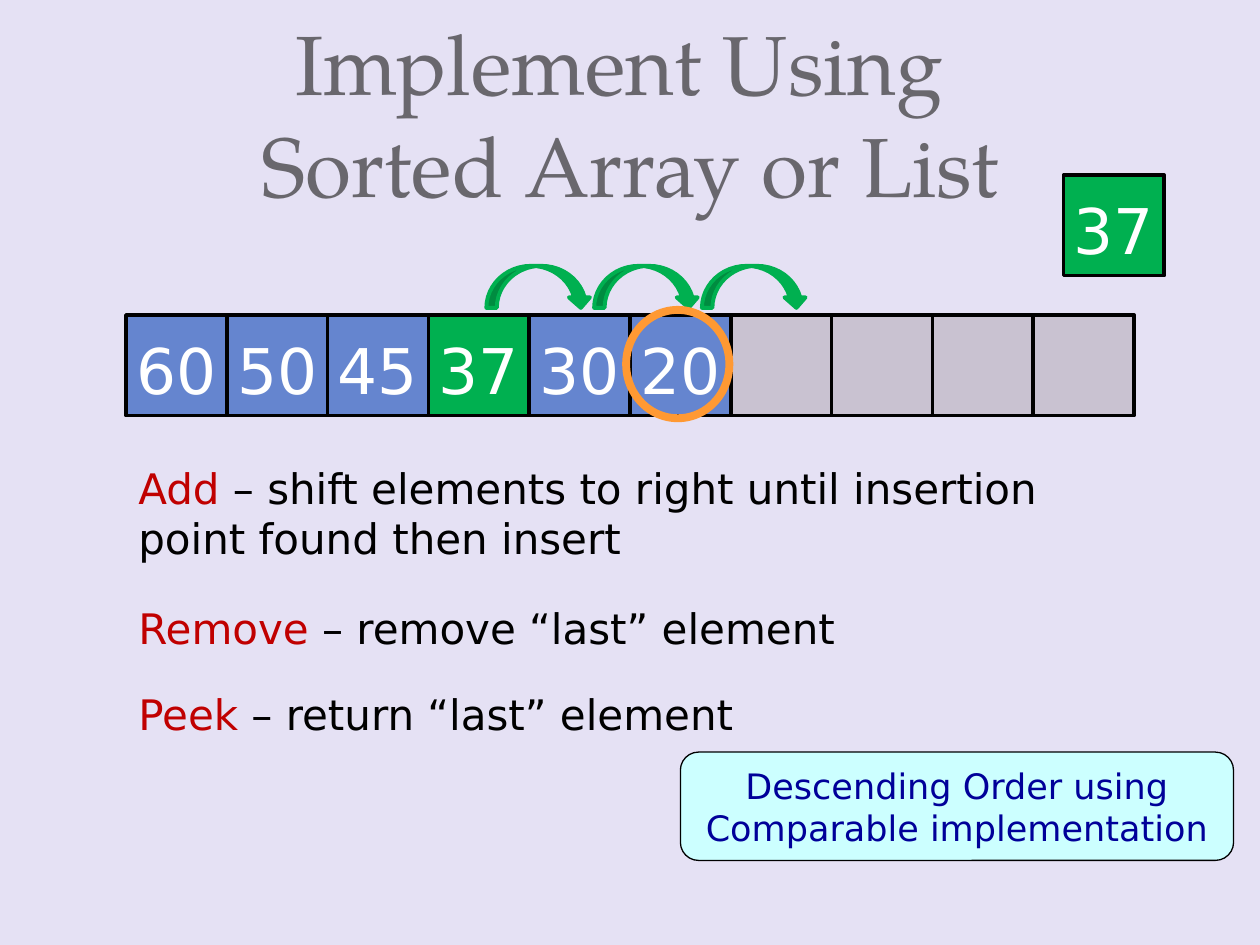
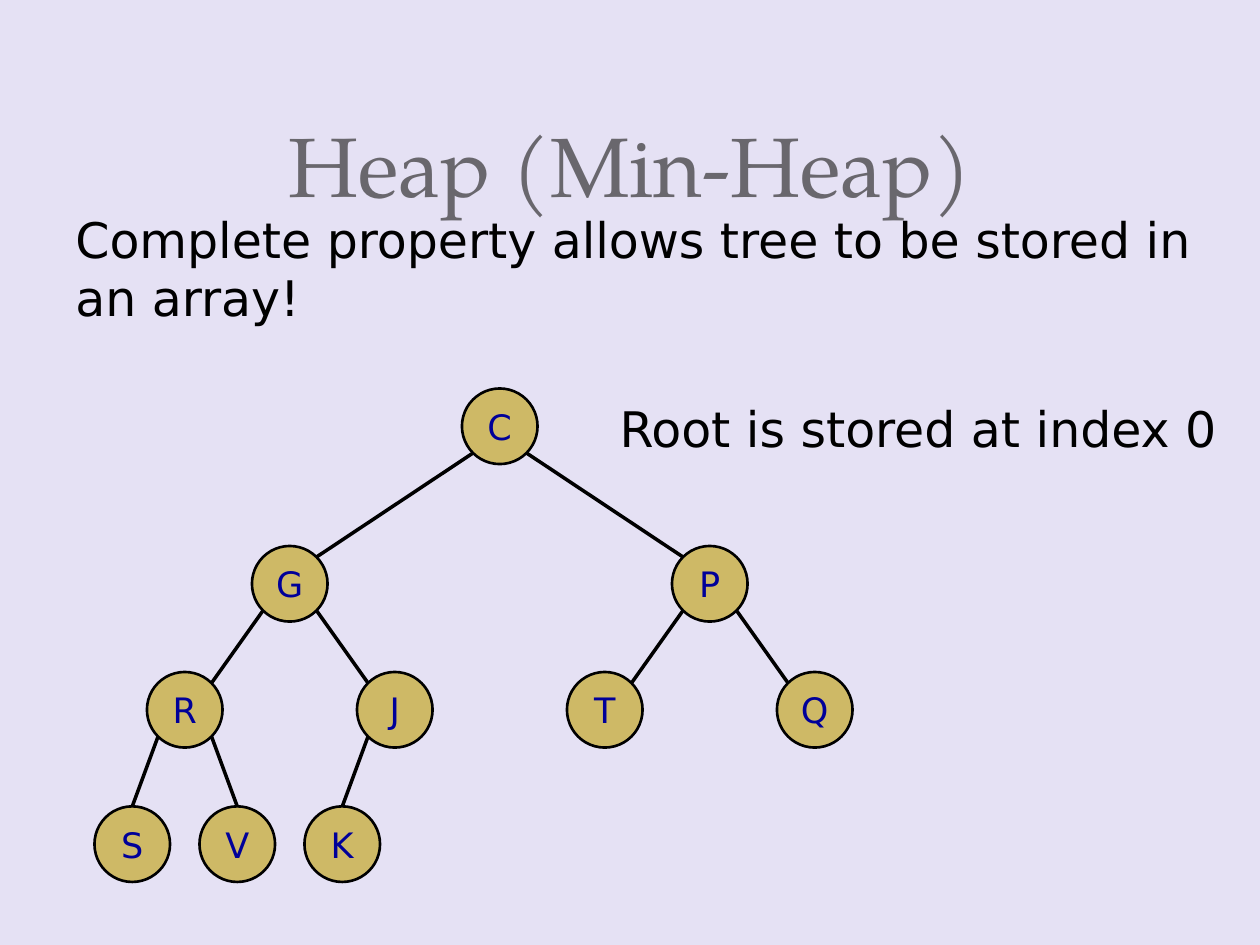
"""Builds two slides on priority queues: a sorted array and a min-heap."""
import math
import pptx
import pptx.dml.color
import pptx.enum.shapes
import pptx.enum.text
import pptx.util
from lxml import etree

Pt = pptx.util.Pt
SHAPE = pptx.enum.shapes.MSO_SHAPE
ALIGN = pptx.enum.text.PP_ALIGN
ANCHOR = pptx.enum.text.MSO_ANCHOR

BODY_FONT, TITLE_FONT = "DejaVu Sans", "TeX Gyre Pagella"
BLACK, WHITE, NAVY, RED = "000000", "FFFFFF", "000099", "C00000"
LAVENDER, TITLE_GREY, EMPTY_GREY = "E5E1F4", "69676D", "C9C2D1"
BLUE, GREEN, ORANGE = "6585CF", "00B050", "FF9933"
GOLD, PALE_CYAN = "CEB966", "CCFFFF"

ARRAY_TITLE = ["Implement Using ", "Sorted Array or List"]
VALUES = ["60", "50", "45", "37", "30", "20", "", "", "", ""]
INSERTED = "37"
OPERATIONS = [
    ("Add", " – shift elements to right until insertion point found then insert", 260.6, 65.5),
    ("Remove", " – remove “last” element", 340.6, 36),
    ("Peek", " – return “last” element", 390.2, 36),
]
ORDER_NOTE = "Descending Order using Comparable implementation"

HEAP_TITLE = ["Heap (Min-Heap)"]
HEAP = ["C", "G", "P", "R", "J", "T", "Q", "S", "V", "K"]
HEAP_NOTES = [
    ("Complete property allows tree to be stored in an array!", (36, 115.9, 652.3, 74.2), True),
    ("Root is stored at index 0", (347, 223.9, 361.4, 41), False),
]

CELL, ARRAY_LEFT, ARRAY_TOP = 57.6, 72, 180
ARROW_LEFT, ARROW_STEP = 277.9, 61.6
NODE, TREE_LEFT, TREE_WIDTH = 43.2, 45.6, 480
LEVEL_TOPS = [222, 312, 384, 460.8]


def rgb(color):
    return pptx.dml.color.RGBColor.from_string(color)


def box(left, top, width, height):
    return Pt(left), Pt(top), Pt(width), Pt(height)


def add_run(p, text, size, color, font=BODY_FONT):
    r = p.add_run()
    r.text = text
    r.font.size, r.font.name = Pt(size), font
    r.font.color.rgb = rgb(color)


def add_slide(title_lines):
    s = prs.slides.add_slide(prs.slide_layouts[5])
    title = s.shapes.title
    title.left, title.top, title.width, title.height = box(36, 0, 648, 126)
    tf = title.text_frame
    tf.auto_size = pptx.enum.text.MSO_AUTO_SIZE.NONE
    tf.vertical_anchor = ANCHOR.BOTTOM
    p = tf.paragraphs[0]
    p.alignment, p.line_spacing = ALIGN.CENTER, Pt(58)
    for i, line in enumerate(title_lines):
        if i:
            p.add_line_break()
        add_run(p, line, 48, TITLE_GREY, TITLE_FONT)
    return s


def add_shape(s, kind, place, fill, line, weight, text="", size=20, color=NAVY, wrap=True):
    sp = s.shapes.add_shape(kind, *box(*place))
    sp.shadow.inherit = False
    if fill:
        sp.fill.solid()
        sp.fill.fore_color.rgb = rgb(fill)
    else:
        sp.fill.background()
    sp.line.color.rgb, sp.line.width = rgb(line), Pt(weight)
    if text:
        tf = sp.text_frame
        tf.word_wrap, tf.vertical_anchor = wrap, ANCHOR.MIDDLE
        tf.paragraphs[0].alignment = ALIGN.CENTER
        add_run(tf.paragraphs[0], text, size, color)
    return sp


def add_text(s, place, runs, size, wrap=True):
    tf = s.shapes.add_textbox(*box(*place)).text_frame
    tf.word_wrap = wrap
    for text, color in runs:
        add_run(tf.paragraphs[0], text, size, color)


def add_line(s, start, end):
    c = s.shapes.add_connector(pptx.enum.shapes.MSO_CONNECTOR.STRAIGHT,
                               *box(*start, *end))
    c.line.color.rgb, c.line.width = rgb(BLACK), Pt(2)
    etree.SubElement(c.line._get_or_add_ln().getparent(),
                     pptx.oxml.ns.qn("a:effectLst"))


def add_cell(s, left, top, value):
    fill = GREEN if value == INSERTED else BLUE if value else EMPTY_GREY
    sp = add_shape(s, SHAPE.RECTANGLE, (left, top, CELL, CELL), fill, BLACK, 2,
                   value, 36, WHITE, False)
    sp.text_frame.margin_top = Pt(8.4)


def node_center(index):
    level = (index + 1).bit_length() - 1
    slots = 2 ** level
    x = TREE_LEFT + TREE_WIDTH * (index + 1 - slots + 0.5) / slots
    return level, x, LEVEL_TOPS[level] + NODE / 2


def build_array_slide():
    s = add_slide(ARRAY_TITLE)
    for i, value in enumerate(VALUES):
        add_cell(s, ARRAY_LEFT + i * CELL, ARRAY_TOP, value)
    for name, meaning, top, height in OPERATIONS:
        add_text(s, (72, top, 576, height), [(name, RED), (meaning, BLACK)], 24)
    for i in range(3):
        add_shape(s, SHAPE.CURVED_DOWN_ARROW,
                  (ARROW_LEFT + i * ARROW_STEP, 151.9, 60, 24), GREEN, GREEN, 2.25)
    add_shape(s, SHAPE.OVAL, (357.8, 177.1, 59, 61.9), None, ORANGE, 4.5)
    add_cell(s, 607.7, 100, INSERTED)
    add_shape(s, SHAPE.ROUNDED_RECTANGLE, (388.8, 429.8, 316.1, 61.9),
              PALE_CYAN, BLACK, 0.75, ORDER_NOTE)


def build_heap_slide():
    s = add_slide(HEAP_TITLE)
    diagonal = NODE / 2 * math.sqrt(0.5)
    for i, label in enumerate(HEAP):
        level, x, y = node_center(i)
        sp = add_shape(s, SHAPE.OVAL, (x - NODE / 2, y - NODE / 2, NODE, NODE),
                       GOLD, BLACK, 1.5, label)
        sp.text_frame.margin_left = sp.text_frame.margin_right = 0
        if i:
            _, px, py = node_center((i - 1) // 2)
            side = -1 if i % 2 else 1
            if level == len(LEVEL_TOPS) - 1:
                end = (x, y - NODE / 2)
            else:
                end = (x - side * diagonal, y - diagonal)
            add_line(s, (px + side * diagonal, py + diagonal), end)
    for text, place, wrap in HEAP_NOTES:
        add_text(s, place, [(text, BLACK)], 28, wrap)


prs = pptx.Presentation()
prs.slide_width, prs.slide_height = Pt(720), Pt(540)
background = prs.slide_master.background.fill
background.solid()
background.fore_color.rgb = rgb(LAVENDER)
build_array_slide()
build_heap_slide()
prs.save("out.pptx")
